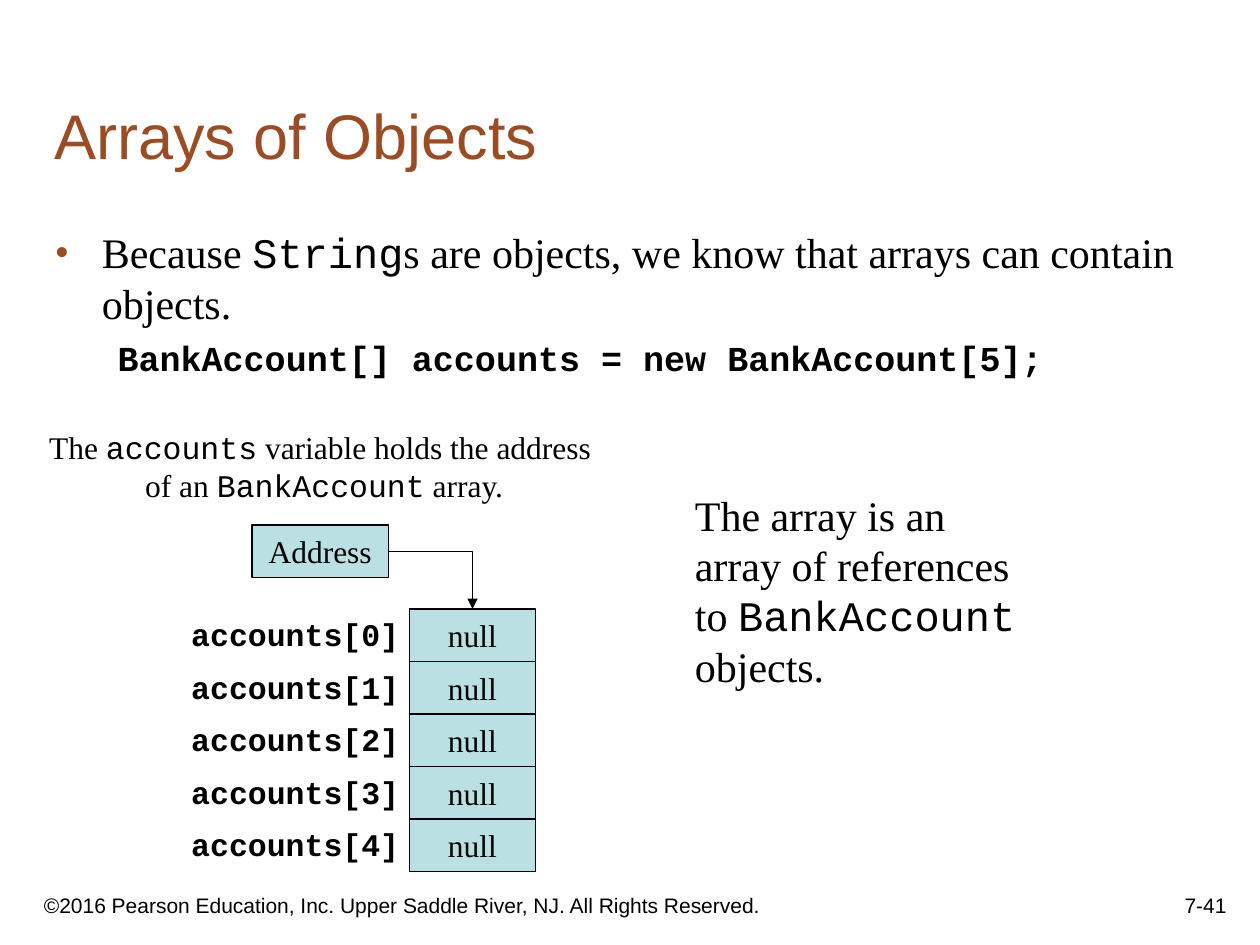
from lxml.etree import SubElement
from pptx import Presentation
from pptx.dml.color import RGBColor
from pptx.enum.shapes import MSO_CONNECTOR, MSO_SHAPE
from pptx.enum.text import MSO_ANCHOR, MSO_AUTO_SIZE, PP_ALIGN
from pptx.oxml.ns import qn
from pptx.util import Pt

BLACK = RGBColor(0x00, 0x00, 0x00)
RUST = RGBColor(0x9A, 0x4C, 0x25)
PALE_TEAL = RGBColor(0xBB, 0xE0, 0xE3)
SANS, SERIF, MONO = "Arial", "Times New Roman", "Courier New"


class SlideBuilder:
    line_width = Pt(0.75)

    def __init__(self, slide):
        self.slide = slide

    def add_runs(self, paragraph, runs, size, color=BLACK, bold=False,
                 align=PP_ALIGN.LEFT):
        """Add (text, font name) runs to the paragraph."""
        paragraph.alignment = align
        for text, font_name in runs:
            run = paragraph.add_run()
            run.text = text
            run.font.name = font_name
            run.font.size = Pt(size)
            run.font.bold = bold
            run.font.color.rgb = color

    def place(self, placeholder, left, top, width, height, anchor):
        """Move a placeholder and return its text frame."""
        placeholder.left, placeholder.top = Pt(left), Pt(top)
        placeholder.width, placeholder.height = Pt(width), Pt(height)
        frame = placeholder.text_frame
        frame.auto_size = MSO_AUTO_SIZE.NONE
        frame.vertical_anchor = anchor
        return frame

    def indent(self, paragraph, margin, first_line, bullet=None):
        """Set a hanging indent in points, with a coloured bullet or none."""
        properties = paragraph._p.get_or_add_pPr()
        properties.set("marL", str(Pt(margin)))
        properties.set("indent", str(Pt(first_line)))
        if bullet:
            bullet_color = SubElement(properties, qn("a:buClr"))
            SubElement(bullet_color, qn("a:srgbClr"), val=str(RUST))
            SubElement(properties, qn("a:buFont"), typeface=SERIF)
            SubElement(properties, qn("a:buChar"), char=bullet)
        else:
            SubElement(properties, qn("a:buNone"))

    def text(self, left, top, width, height, lines, size, wrap=True,
             anchor=MSO_ANCHOR.TOP, **style):
        box = self.slide.shapes.add_textbox(Pt(left), Pt(top), Pt(width), Pt(height))
        frame = box.text_frame
        frame.word_wrap = wrap
        frame.vertical_anchor = anchor
        for index, runs in enumerate(lines):
            paragraph = frame.add_paragraph() if index else frame.paragraphs[0]
            self.add_runs(paragraph, runs, size, **style)

    def cell(self, left, top, width, height, label):
        box = self.slide.shapes.add_shape(
            MSO_SHAPE.RECTANGLE, Pt(left), Pt(top), Pt(width), Pt(height))
        box.shadow.inherit = False
        box.fill.solid()
        box.fill.fore_color.rgb = PALE_TEAL
        box.line.color.rgb = BLACK
        box.line.width = self.line_width
        box.text_frame.word_wrap = False
        box.text_frame.vertical_anchor = MSO_ANCHOR.MIDDLE
        self.add_runs(box.text_frame.paragraphs[0], [(label, SERIF)], 18,
                      align=PP_ALIGN.CENTER)
        return box

    def elbow_arrow(self, source, target):
        """Run from the right side of source to the top of target."""
        arrow = self.slide.shapes.add_connector(MSO_CONNECTOR.ELBOW, 0, 0, 0, 0)
        arrow.begin_connect(source, 3)
        arrow.end_connect(target, 0)
        arrow.line.color.rgb = BLACK
        arrow.line.width = self.line_width
        properties = arrow._element.spPr
        properties.find(qn("a:prstGeom")).set("prst", "bentConnector2")
        SubElement(properties.find(qn("a:ln")), qn("a:tailEnd"), type="triangle")
        SubElement(properties, qn("a:effectLst"))


def main():
    presentation = Presentation()
    presentation.slide_width, presentation.slide_height = Pt(720), Pt(540)
    slide = presentation.slides.add_slide(presentation.slide_layouts[1])
    builder = SlideBuilder(slide)

    title = builder.place(slide.shapes.title, 24, 24, 678, 78, MSO_ANCHOR.BOTTOM)
    builder.add_runs(title.paragraphs[0], [("Arrays of Objects", SANS)], 36, RUST)

    body = builder.place(slide.placeholders[1], 24, 126, 653, 116, MSO_ANCHOR.TOP)
    body.margin_right = 0
    statement = body.paragraphs[0]
    statement.space_before = Pt(0)
    builder.indent(statement, 27, -27, "•")
    builder.add_runs(statement, [
        ("Because ", SERIF), ("String", MONO),
        ("s are objects, we know that arrays can contain objects.", SERIF)], 24)
    declaration = body.add_paragraph()
    declaration.level = 1
    declaration.space_before = Pt(5)
    builder.indent(declaration, 58.5, -22.5)
    builder.add_runs(declaration, [("BankAccount[] accounts = new BankAccount[5];", MONO)],
                     20, bold=True)

    builder.text(21, 241, 324, 50, [
        [("The ", SERIF), ("accounts", MONO), (" variable holds the address", SERIF)],
        [(" of an ", SERIF), ("BankAccount", MONO), (" array.", SERIF)],
    ], 18, wrap=False, align=PP_ALIGN.CENTER)

    address = builder.cell(144, 300, 78, 30, "Address")
    array_top, row_height = 348, 30
    elements = []
    for index in range(5):
        top = array_top + index * row_height
        elements.append(builder.cell(234, top, 72, row_height, "null"))
        builder.text(90, top, 145.2, 29, [[(f"accounts[{index}]", MONO)]], 18,
                     bold=True, align=PP_ALIGN.RIGHT)
    builder.elbow_arrow(address, elements[0])

    builder.text(390, 276, 198, 122, [[
        ("The array is an array of references to ", SERIF),
        ("BankAccount", MONO), (" objects.", SERIF)]], 24)

    builder.text(18, 498, 438, 30, [[
        ("©2016 Pearson Education, Inc. Upper Saddle River, NJ. All Rights Reserved.",
         SANS)]], 12, anchor=MSO_ANCHOR.BOTTOM)
    builder.text(558, 492, 150, 36, [[("7-41", SANS)]], 12,
                 anchor=MSO_ANCHOR.BOTTOM, align=PP_ALIGN.RIGHT)

    presentation.save("out.pptx")


if __name__ == "__main__":
    main()
